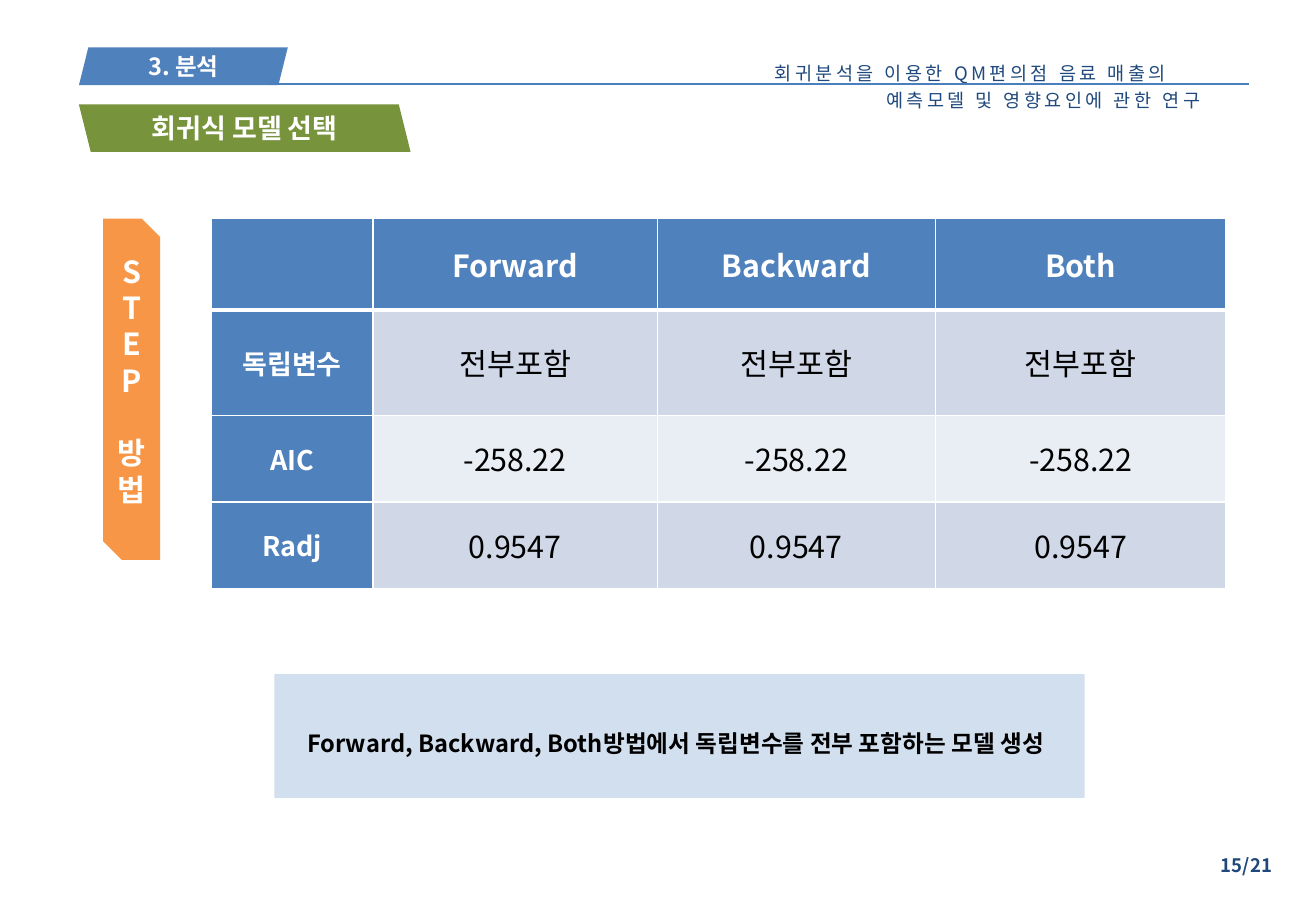
from dataclasses import dataclass

from lxml.etree import SubElement
from pptx import Presentation
from pptx.dml.color import RGBColor
from pptx.enum.shapes import MSO_CONNECTOR as Connector, MSO_SHAPE as Geometry
from pptx.enum.text import MSO_ANCHOR as Anchor, MSO_AUTO_SIZE as AutoSize, PP_ALIGN as Align
from pptx.oxml.ns import qn
from pptx.util import Pt

FONT = "Noto Sans CJK KR"
COLORS = {
    "white": "FFFFFF",
    "black": "000000",
    "navy": "1F497D",
    "blue": "4F81BD",
    "rule": "4B7EBC",
    "green": "77933C",
    "orange": "F79646",
    "band_dark": "D0D8E8",
    "band_light": "E9EDF4",
}


@dataclass
class TextStyle:
    size: float
    color: str = "white"
    bold: bool = True
    align: Align = Align.CENTER
    spacing: float = 0


@dataclass
class Box:
    left: float
    top: float
    width: float
    height: float

    def lengths(self):
        return Pt(self.left), Pt(self.top), Pt(self.width), Pt(self.height)


@dataclass
class Panel:
    geometry: Geometry
    box: Box
    fill: str
    lines: tuple = ()
    style: TextStyle = None
    margins: tuple = (0, 0, 0, 0)
    anchor: Anchor = Anchor.MIDDLE


def rgb(name: str) -> RGBColor:
    return RGBColor.from_string(COLORS[name])


def write(frame, lines, style: TextStyle):
    frame.word_wrap = True
    frame.auto_size = AutoSize.NONE
    for index, line in enumerate(lines):
        paragraph = frame.paragraphs[0] if index == 0 else frame.add_paragraph()
        paragraph.text = line
        paragraph.alignment = style.align
        font = paragraph.font
        font.size = Pt(style.size)
        font.bold = style.bold
        font.color.rgb = rgb(style.color)
        font.name = FONT
        SubElement(font._element, qn("a:ea"), typeface=FONT)
        if style.spacing:
            font._element.set("spc", str(int(style.spacing * 100)))


def set_margins(frame, left: float, top: float, right: float, bottom: float):
    frame.margin_left, frame.margin_top = Pt(left), Pt(top)
    frame.margin_right, frame.margin_bottom = Pt(right), Pt(bottom)


def add_panel(slide, panel: Panel):
    shape = slide.shapes.add_shape(panel.geometry, *panel.box.lengths())
    shape.shadow.inherit = False
    shape.fill.solid()
    shape.fill.fore_color.rgb = rgb(panel.fill)
    shape.line.fill.background()
    if panel.lines:
        write(shape.text_frame, panel.lines, panel.style)
        set_margins(shape.text_frame, *panel.margins)
        shape.text_frame.vertical_anchor = panel.anchor
    return shape


def add_text(slide, box: Box, lines, style: TextStyle):
    frame = slide.shapes.add_textbox(*box.lengths()).text_frame
    write(frame, lines, style)
    return frame


def add_rule(slide, left: float, right: float, top: float):
    rule = slide.shapes.add_connector(Connector.STRAIGHT, Pt(left), Pt(top), Pt(right), Pt(top))
    rule.line.color.rgb = rgb("rule")
    rule.line.width = Pt(1)
    SubElement(rule._element.spPr, qn("a:effectLst"))


def set_borders(cell, widths: dict):
    properties = cell._tc.get_or_add_tcPr()
    for side in ("L", "R", "T", "B"):
        line = SubElement(properties, qn(f"a:ln{side}"), w=str(Pt(widths.get(side, 1))))
        fill = SubElement(line, qn("a:solidFill"))
        SubElement(fill, qn("a:srgbClr"), val=COLORS["white"])


def add_model_table(slide, box: Box, rows, column_widths, row_heights):
    table = slide.shapes.add_table(len(rows), len(column_widths), *box.lengths()).table
    for column, width in zip(table.columns, column_widths):
        column.width = Pt(width)
    for row, height in zip(table.rows, row_heights):
        row.height = Pt(height)
    header_style, label_style = TextStyle(18), TextStyle(16)
    value_style = TextStyle(18, "black", bold=False)
    for row_index, values in enumerate(rows):
        for column_index, value in enumerate(values):
            cell = table.cell(row_index, column_index)
            set_borders(cell, {0: {"B": 3}, 1: {"T": 3}}.get(row_index, {}))
            if row_index == 0:
                fill, style = "blue", header_style
            elif column_index == 0:
                fill, style = "blue", label_style
            else:
                fill, style = "band_dark" if row_index % 2 else "band_light", value_style
            cell.fill.solid()
            cell.fill.fore_color.rgb = rgb(fill)
            cell.vertical_anchor = Anchor.MIDDLE
            if value:
                write(cell.text_frame, [value], style)


def main():
    presentation = Presentation()
    presentation.slide_width, presentation.slide_height = Pt(780), Pt(540)
    slide = presentation.slides.add_slide(presentation.slide_layouts[5])

    study = add_text(
        slide,
        Box(452.2, 30.2, 297.4, 38.2),
        ["회귀분석을 이용한 QM편의점 음료 매출의", "예측모델 및 영향요인에 관한 연구"],
        TextStyle(11, "navy", bold=False, align=Align.LEFT, spacing=2),
    )
    for paragraph in study.paragraphs:
        paragraph.line_spacing = Pt(16)
    study.paragraphs[1]._p.get_or_add_pPr().set("marL", str(Pt(66)))

    add_text(slide, Box(592.6, 502.6, 168.5, 20.9), ["15/21"],
             TextStyle(11, "navy", align=Align.RIGHT))
    add_panel(slide, Panel(Geometry.PARALLELOGRAM, Box(46.8, 28.1, 123.8, 22.3), "blue",
                           ("3. 분석",), TextStyle(14)))
    add_rule(slide, 159.1, 740.2, 49.7)

    add_model_table(
        slide,
        Box(125.3, 129.6, 601.2, 219.2),
        [
            ["", "Forward", "Backward", "Both"],
            ["독립변수"] + ["전부포함"] * 3,
            ["AIC"] + ["-258.22"] * 3,
            ["Radj"] + ["0.9547"] * 3,
        ],
        [95.8, 168.5, 164.9, 172.1],
        [54, 62.6, 51.3, 51.3],
    )

    note = add_panel(slide, Panel(
        Geometry.RECTANGLE, Box(162.7, 399.6, 480.2, 73.4), "blue",
        ("Forward, Backward, Both방법에서 독립변수를 전부 포함하는 모델 생성",),
        TextStyle(14, "black", align=Align.LEFT), margins=(19.4, 0, 23.8, 0)))
    note.text_frame.paragraphs[0].line_spacing = 1.5
    note_color = note._element.spPr.find(qn("a:solidFill")).find(qn("a:srgbClr"))
    SubElement(note_color, qn("a:alpha"), val="25000")

    title_box = Box(46.8, 61.9, 196.6, 28.1)
    plate = add_panel(slide, Panel(Geometry.PARALLELOGRAM, title_box, "green"))
    plate._element.spPr.find(qn("a:xfrm")).set("flipH", "1")
    title = slide.shapes.title
    title.left, title.top, title.width, title.height = title_box.lengths()
    write(title.text_frame, ["회귀식 모델 선택"], TextStyle(16))
    set_margins(title.text_frame, 0, 0, 0, 0)
    title.text_frame.vertical_anchor = Anchor.MIDDLE
    plate._element.addnext(title._element)

    step = add_panel(slide, Panel(
        Geometry.SNIP_2_DIAG_RECTANGLE, Box(61.2, 129.6, 33.8, 202.3), "orange",
        tuple("STEP방법"), TextStyle(18), margins=(0, 14.7, 0, 0), anchor=Anchor.TOP))
    step.adjustments[0], step.adjustments[1] = 0, 0.325
    step.text_frame.paragraphs[4].space_before = Pt(21.3)

    presentation.save("out.pptx")


if __name__ == "__main__":
    main()
